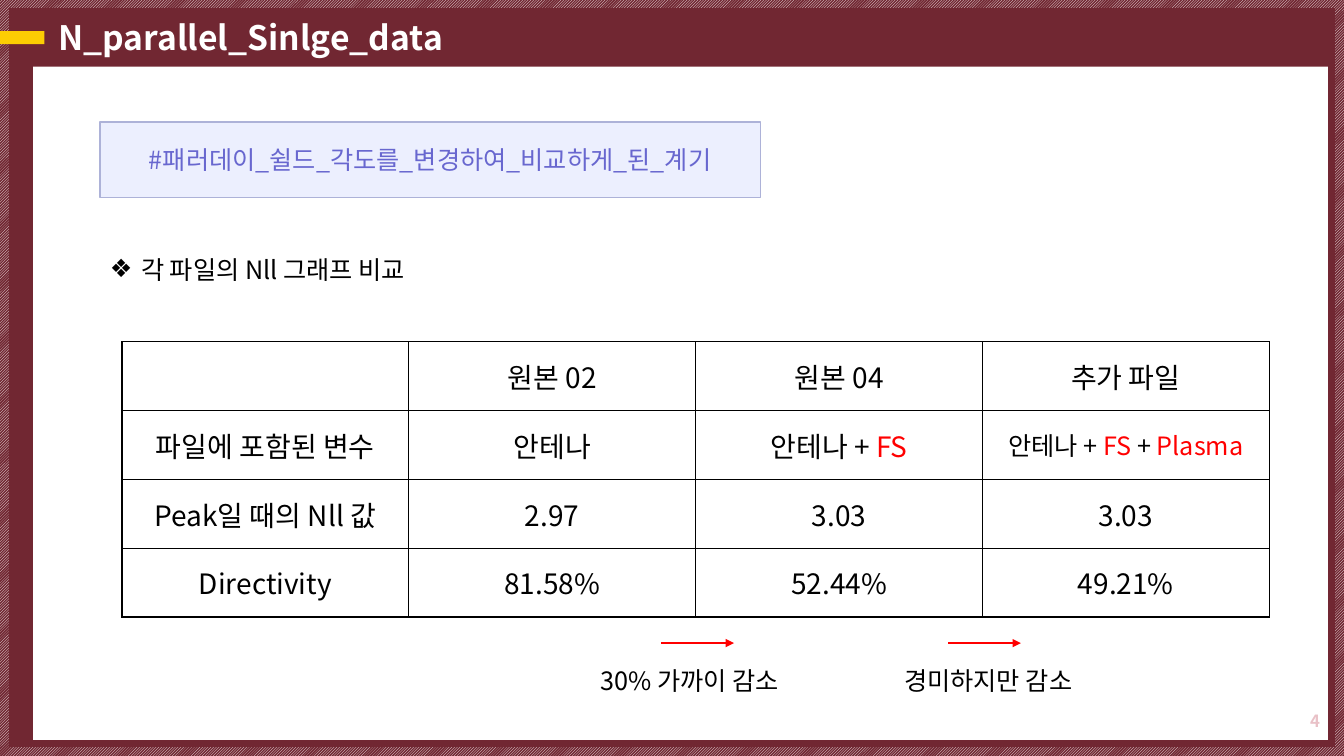
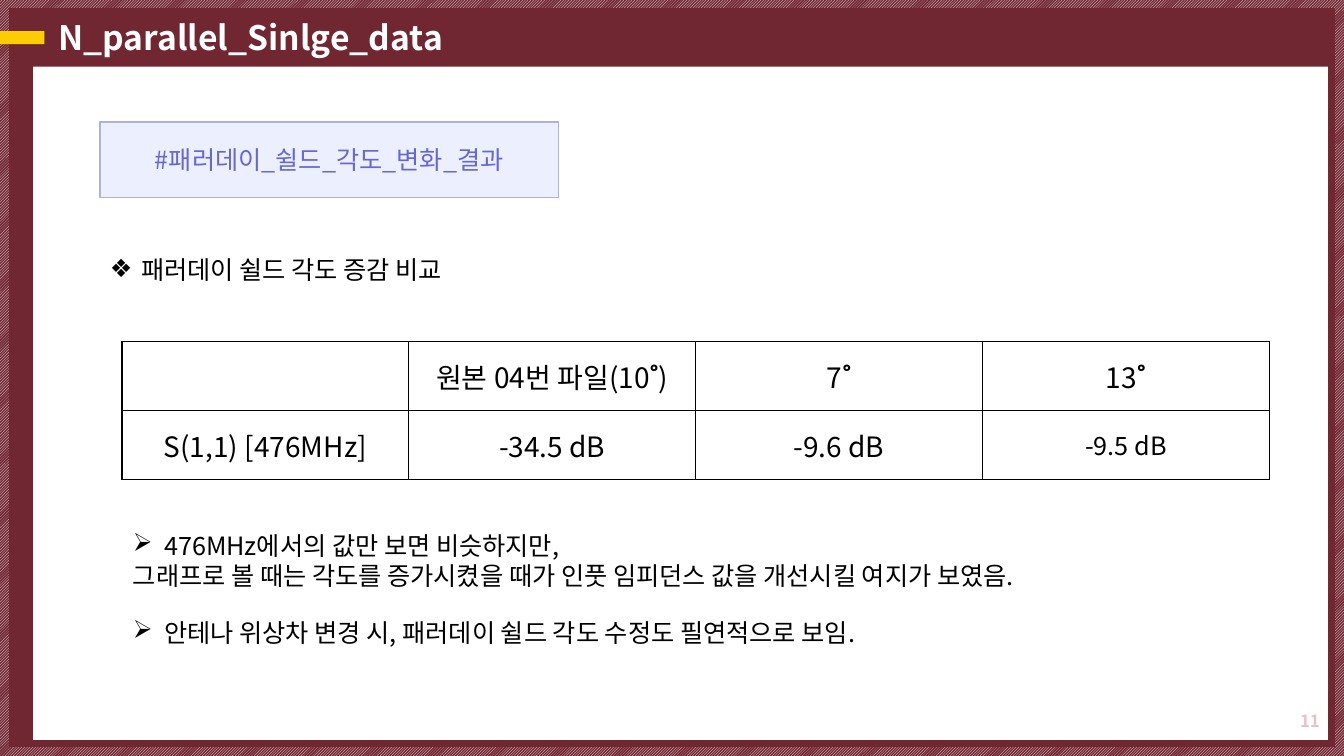
"""Build two slides comparing antenna simulation results."""
from dataclasses import dataclass

from lxml.etree import SubElement
from pptx import Presentation
from pptx.dml.color import RGBColor
from pptx.enum.dml import MSO_PATTERN_TYPE
from pptx.enum.shapes import MSO_CONNECTOR, MSO_SHAPE
from pptx.enum.text import MSO_ANCHOR, MSO_AUTO_SIZE, PP_ALIGN
from pptx.oxml.ns import qn
from pptx.util import Inches, Pt


@dataclass(frozen=True)
class Theme:
    font: str = "Noto Sans CJK KR"
    maroon: str = "712732"
    white: str = "FFFFFF"
    yellow: str = "FDCD03"
    pink: str = "E9C1C7"
    tag_fill: str = "ECEFFE"
    tag_line: str = "ADB2D8"
    tag_text: str = "6867CF"
    black: str = "000000"
    red: str = "FF0000"
    title_size: int = 24
    table_size: int = 20
    body_size: int = 18
    number_size: int = 12


THEME = Theme()


@dataclass(frozen=True)
class Box:
    left: float
    top: float
    width: float
    height: float

    def lengths(self) -> tuple:
        return tuple(Inches(value) for value in (self.left, self.top, self.width, self.height))


@dataclass(frozen=True)
class Run:
    text: str
    size: int = THEME.body_size
    color: str = THEME.black
    bold: bool = False


@dataclass(frozen=True)
class Line:
    runs: tuple[Run, ...]
    bullet: str = ""


@dataclass(frozen=True)
class Change:
    column_edge: int
    caption: str
    box: Box


@dataclass(frozen=True)
class Note:
    box: Box
    lines: tuple[Line, ...]


@dataclass(frozen=True)
class Page:
    number: str
    tag: str
    tag_width: float
    heading: str
    rows: tuple[tuple[tuple[Run, ...], ...], ...]
    changes: tuple[Change, ...] = ()
    notes: tuple[Note, ...] = ()


SLIDE = Box(0, 0, 13.33, 7.5)
TITLE = "N_parallel_Sinlge_data"
TABLE_LEFT, TABLE_TOP, COLUMN_WIDTH, ROW_HEIGHT = 1.21, 3.39, 2.845, 0.683
ARROW_TOP, ARROW_LENGTH, ARROW_OFFSET = 6.38, 0.72, 0.34
BULLET_INDENT = 0.31


def cell_runs(text: str) -> tuple[Run, ...]:
    """Return the content of a plain table cell."""
    return (Run(text, THEME.table_size),) if text else ()


def degrees(before: str, after: str = "") -> tuple[Run, ...]:
    """Return cell content with a bold degree sign."""
    sign = Run("˚", THEME.table_size, bold=True)
    return cell_runs(before) + (sign,) + cell_runs(after)


def plain_row(*texts: str) -> tuple[tuple[Run, ...], ...]:
    """Return a row of plain cells."""
    return tuple(cell_runs(text) for text in texts)


PAGES = (
    Page(
        "4", "#패러데이_쉴드_각도를_변경하여_비교하게_된_계기", 6.55, "각 파일의 Nll 그래프 비교",
        (
            plain_row("", "원본 02", "원본 04", "추가 파일"),
            plain_row("파일에 포함된 변수", "안테나") + (
                cell_runs("안테나 + ") + (Run("FS", THEME.table_size, THEME.red),),
                (Run("안테나 + "), Run("FS", color=THEME.red),
                 Run(" + "), Run("Plasma", color=THEME.red)),
            ),
            plain_row("Peak일 때의 Nll 값", "2.97", "3.03", "3.03"),
            plain_row("Directivity", "81.58%", "52.44%", "49.21%"),
        ),
        changes=(
            Change(2, "30% 가까이 감소", Box(5.86, 6.55, 2.13, 0.4)),
            Change(3, "경미하지만 감소", Box(8.87, 6.55, 2.06, 0.4)),
        ),
    ),
    Page(
        "11", "#패러데이_쉴드_각도_변화_결과", 4.55, "패러데이 쉴드 각도 증감 비교",
        (
            ((), degrees("원본 04번 파일(10", ")"), degrees("7"), degrees("13")),
            plain_row("S(1,1) [476MHz]", "-34.5 dB", "-9.6 dB") + ((Run("-9.5 dB"),),),
        ),
        notes=(
            Note(Box(1.22, 5.21, 10.08, 0.71), (
                Line((Run("476MHz에서의 값만 보면 비슷하지만,"),), "➢"),
                Line((Run("그래프로 볼 때는 각도를 증가시켰을 때가 인풋 임피던스 값을 개선시킬 여지가 보였음."),)),
            )),
            Note(Box(1.22, 6.08, 8.5, 0.4), (
                Line((Run("안테나 위상차 변경 시, 패러데이 쉴드 각도 수정도 필연적으로 보임."),), "➢"),
            )),
        ),
    ),
)


def rgb(color: str) -> RGBColor:
    """Turn a hex string into a colour."""
    return RGBColor.from_string(color)


def add_runs(paragraph, runs: tuple[Run, ...]) -> None:
    """Add formatted runs to a paragraph."""
    for run in runs:
        text_run = paragraph.add_run()
        text_run.text = run.text
        font = text_run.font
        font.name, font.size, font.bold = THEME.font, Pt(run.size), run.bold
        font.color.rgb = rgb(run.color)
        SubElement(text_run._r.get_or_add_rPr(), qn("a:ea"), typeface=THEME.font)


def write_lines(shape, lines: tuple[Line, ...], align=PP_ALIGN.LEFT,
                anchor=MSO_ANCHOR.TOP, spacing: float = 1.0) -> None:
    """Fill a shape with paragraphs."""
    frame = shape.text_frame
    frame.word_wrap, frame.auto_size = True, MSO_AUTO_SIZE.NONE
    frame.vertical_anchor = anchor
    for index, line in enumerate(lines):
        paragraph = frame.add_paragraph() if index else frame.paragraphs[0]
        paragraph.alignment, paragraph.line_spacing = align, spacing
        paragraph.space_before = Pt(0)
        if line.bullet:
            properties = paragraph._p.get_or_add_pPr()
            properties.set("marL", str(Inches(BULLET_INDENT)))
            properties.set("indent", str(-Inches(BULLET_INDENT)))
            SubElement(properties, qn("a:buChar"), char=line.bullet)
        add_runs(paragraph, line.runs)


def place(shape, box: Box) -> None:
    """Move a placeholder to a box."""
    shape.left, shape.top, shape.width, shape.height = box.lengths()


def add_rectangle(slide, box: Box, color: str):
    """Add a flat rectangle without outline."""
    shape = slide.shapes.add_shape(MSO_SHAPE.RECTANGLE, *box.lengths())
    shape.shadow.inherit = False
    shape.fill.solid()
    shape.fill.fore_color.rgb = rgb(color)
    shape.line.fill.background()
    return shape


def add_text(slide, box: Box, lines: tuple[Line, ...], **style) -> None:
    """Add a text box."""
    write_lines(slide.shapes.add_textbox(*box.lengths()), lines, **style)


def add_frame(slide, layout) -> None:
    """Draw the shared frame and move it to the layout."""
    border = add_rectangle(slide, SLIDE, THEME.maroon)
    border.fill.patterned()
    border.fill.pattern = MSO_PATTERN_TYPE.DARK_UPWARD_DIAGONAL
    border.fill.fore_color.rgb = rgb(THEME.white)
    border.fill.back_color.rgb = rgb(THEME.maroon)
    panels = (
        border,
        add_rectangle(slide, Box(0.09, 0.08, 13.15, 7.33), THEME.maroon),
        add_rectangle(slide, Box(0.33, 0.66, 12.84, 6.68), THEME.white),
        add_rectangle(slide, Box(-0.04, 0.31, 0.48, 0.13), THEME.yellow),
    )
    for index, panel in enumerate(panels):
        panel.element.nvSpPr.cNvPr.set("id", str(100 + index))
        layout.shapes.element.insert(2 + index, panel.element)


def add_borders(cell) -> None:
    """Outline a cell on all sides."""
    properties = cell._tc.get_or_add_tcPr()
    for index, side in enumerate(("lnL", "lnR", "lnT", "lnB")):
        line = SubElement(properties, qn(f"a:{side}"), w=str(Pt(1)))
        fill = SubElement(line, qn("a:solidFill"))
        SubElement(fill, qn("a:srgbClr"), val=THEME.black)
        properties.insert(index, line)


def add_result_table(slide, rows: tuple) -> None:
    """Add the comparison table."""
    columns = len(rows[0])
    box = Box(TABLE_LEFT, TABLE_TOP, COLUMN_WIDTH * columns, ROW_HEIGHT * len(rows))
    table = slide.shapes.add_table(len(rows), columns, *box.lengths()).table
    table.first_row = table.horz_banding = False
    for row_index, row in enumerate(rows):
        for column_index, runs in enumerate(row):
            cell = table.cell(row_index, column_index)
            cell.fill.background()
            cell.vertical_anchor = MSO_ANCHOR.MIDDLE
            add_borders(cell)
            paragraph = cell.text_frame.paragraphs[0]
            paragraph.alignment = PP_ALIGN.CENTER
            add_runs(paragraph, runs)


def add_change(slide, change: Change) -> None:
    """Add an arrow across a column edge with its caption."""
    start = TABLE_LEFT + COLUMN_WIDTH * change.column_edge - ARROW_OFFSET
    arrow = slide.shapes.add_connector(
        MSO_CONNECTOR.STRAIGHT, Inches(start), Inches(ARROW_TOP),
        Inches(start + ARROW_LENGTH), Inches(ARROW_TOP))
    arrow.line.color.rgb, arrow.line.width = rgb(THEME.red), Pt(1)
    properties = arrow.element.spPr
    SubElement(properties.find(qn("a:ln")), qn("a:tailEnd"), type="triangle")
    SubElement(properties, qn("a:effectLst"))
    add_text(slide, change.box, (Line((Run(change.caption),)),))


def add_page(slide, page: Page) -> None:
    """Fill one slide."""
    title, body = slide.shapes.title, slide.placeholders[1]
    place(title, Box(0.48, 0.16, 11.38, 0.46))
    write_lines(title, (Line((Run(TITLE, THEME.title_size, THEME.white, True),)),),
                anchor=MSO_ANCHOR.MIDDLE, spacing=0.9)
    place(body, Box(0.99, 2.47, 7.6, 0.4))
    write_lines(body, (Line((Run(page.heading),), "❖"),))
    add_text(slide, Box(9.42, 6.95, 3.77, 0.4),
             (Line((Run(page.number, THEME.number_size, THEME.pink, True),)),),
             align=PP_ALIGN.RIGHT, anchor=MSO_ANCHOR.MIDDLE)
    tag = add_rectangle(slide, Box(0.99, 1.21, page.tag_width, 0.75), THEME.tag_fill)
    tag.line.color.rgb, tag.line.width = rgb(THEME.tag_line), Pt(1)
    write_lines(tag, (Line((Run(page.tag, color=THEME.tag_text),)),),
                align=PP_ALIGN.CENTER, anchor=MSO_ANCHOR.MIDDLE)
    add_result_table(slide, page.rows)
    for change in page.changes:
        add_change(slide, change)
    for note in page.notes:
        add_text(slide, note.box, note.lines)


def main() -> None:
    """Build and save the presentation."""
    presentation = Presentation()
    presentation.slide_width, presentation.slide_height = SLIDE.lengths()[2:]
    layout = presentation.slide_layouts[1]
    slides = [presentation.slides.add_slide(layout) for _ in PAGES]
    add_frame(slides[0], layout)
    for slide, page in zip(slides, PAGES):
        add_page(slide, page)
    presentation.save("out.pptx")


if __name__ == "__main__":
    main()
